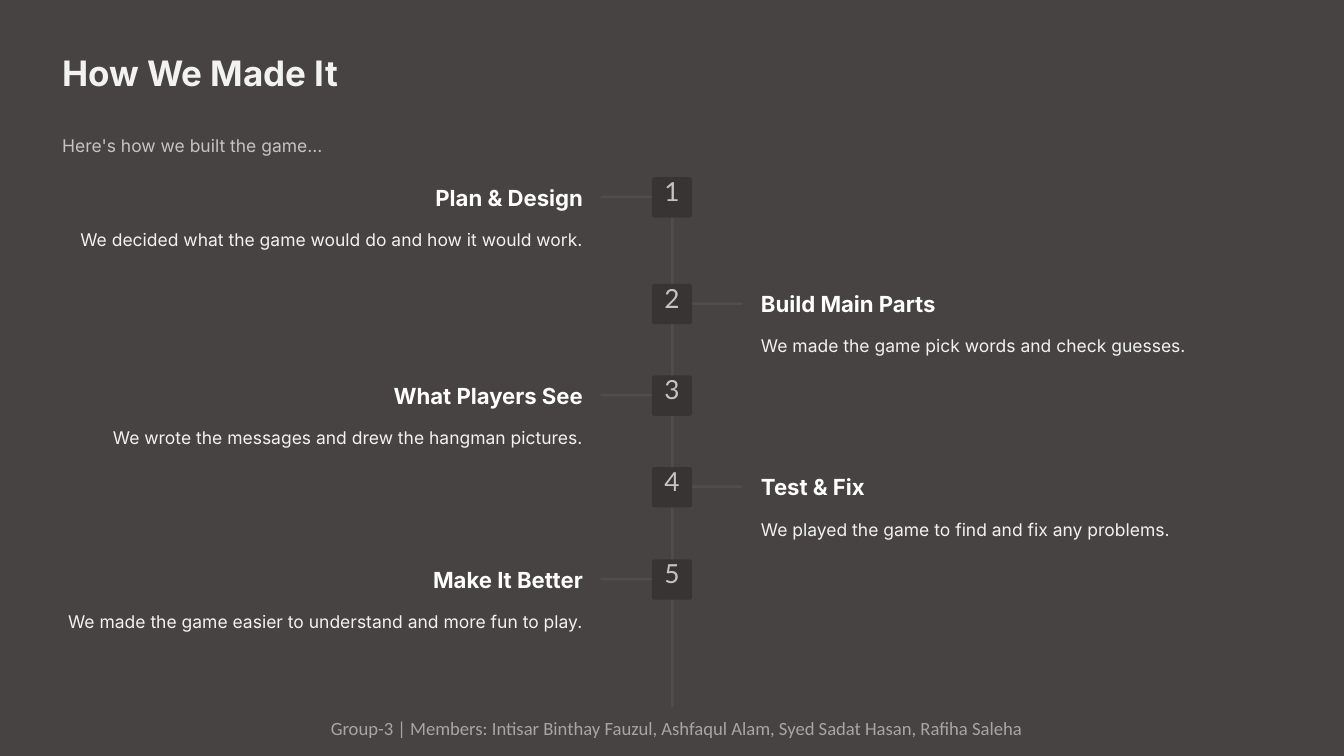
from dataclasses import dataclass

from pptx import Presentation
from pptx.dml.color import RGBColor
from pptx.enum.shapes import MSO_SHAPE
from pptx.enum.text import MSO_AUTO_SIZE, PP_ALIGN
from pptx.util import Inches, Pt

LEFT, CENTER, RIGHT = PP_ALIGN.LEFT, PP_ALIGN.CENTER, PP_ALIGN.RIGHT
ROUNDED = MSO_SHAPE.ROUNDED_RECTANGLE
FIT_SHAPE = MSO_AUTO_SIZE.SHAPE_TO_FIT_TEXT


@dataclass(frozen=True)
class TextStyle:
    """Font, size, colour and line height of one kind of text."""
    font: str
    size: float
    color: str
    line_height: float = 0
    bold: bool = False


class Theme:
    """Colours and text styles of the slide."""
    background = "464342"
    rail = "504D4C"
    badge = "373433"
    title = TextStyle("Inter", 30, "F2F2F2", 38, True)
    intro = TextStyle("Inter", 15, "C9C2C0", 24)
    number = TextStyle("Lato", 22.5, "C9C2C0", 22.5)
    heading = TextStyle("Inter", 19, "FFFFFF", 23.5, True)
    body = TextStyle("Inter", 15, "F2F2F2", 24)
    footer = TextStyle("Calibri", 16, "A6A6A6")


STEPS = [
    (2.11, "Plan & Design", "We decided what the game would do and how it would work."),
    (3.38, "Build Main Parts", "We made the game pick words and check guesses."),
    (4.47, "What Players See", "We wrote the messages and drew the hangman pictures."),
    (5.56, "Test & Fix", "We played the game to find and fix any problems."),
    (6.66, "Make It Better", "We made the game easier to understand and more fun to play."),
]
MARGIN = 0.74
BODY_WIDTH = 6.2
HEADING_WIDTH = 2.64
RIGHT_COLUMN = 9.06
LEFT_COLUMN_END = MARGIN + BODY_WIDTH


class TimelineSlide:
    """Draws timeline elements on one slide in a shared theme."""

    def __init__(self, presentation, theme):
        self.theme = theme
        self.slide = presentation.slides.add_slide(presentation.slide_layouts[6])
        fill = self.slide.background.fill
        fill.solid()
        fill.fore_color.rgb = RGBColor.from_string(theme.background)

    def text(self, words, left, top, width, height, style, align=LEFT):
        """Add a one-line text box without insets."""
        shape = self.slide.shapes.add_textbox(
            Inches(left), Inches(top), Inches(width), Inches(height))
        frame = shape.text_frame
        frame.word_wrap = False
        frame.margin_left = frame.margin_right = 0
        frame.margin_top = frame.margin_bottom = 0
        self.set_paragraph(frame, words, style, align)

    def footer(self, words, left, top, width, height):
        """Add a wrapping footer that grows with its text."""
        shape = self.slide.shapes.add_textbox(
            Inches(left), Inches(top), Inches(width), Inches(height))
        frame = shape.text_frame
        frame.word_wrap = True
        frame.auto_size = FIT_SHAPE
        self.set_paragraph(frame, words, self.theme.footer, LEFT)

    def set_paragraph(self, frame, words, style, align):
        """Fill a text frame with one styled paragraph."""
        paragraph = frame.paragraphs[0]
        paragraph.text = words
        paragraph.alignment = align
        if style.line_height:
            paragraph.line_spacing = Pt(style.line_height)
        font = paragraph.font
        font.name = style.font
        font.size = Pt(style.size)
        font.bold = style.bold
        font.color.rgb = RGBColor.from_string(style.color)

    def bar(self, left, top, width, height, color, rounding=0.5):
        """Add a filled rounded rectangle without outline."""
        shape = self.slide.shapes.add_shape(
            ROUNDED, Inches(left), Inches(top), Inches(width), Inches(height))
        shape.adjustments[0] = rounding
        shape.shadow.inherit = False
        shape.fill.solid()
        shape.fill.fore_color.rgb = RGBColor.from_string(color)
        shape.line.fill.background()

    def step(self, number, top, heading, body):
        """Add a numbered step, odd ones left of the rail and even ones right."""
        theme = self.theme
        on_left = number % 2 == 1
        align = RIGHT if on_left else LEFT
        heading_left = LEFT_COLUMN_END - HEADING_WIDTH if on_left else RIGHT_COLUMN
        body_left = MARGIN if on_left else RIGHT_COLUMN
        self.bar(7.15 if on_left else 8.21, top + 0.22, 0.63, 0.03, theme.rail)
        self.bar(7.76, top, 0.48, 0.48, theme.badge, 0.07)
        self.text(str(number), 7.84, top + 0.04, 0.32, 0.4, theme.number, CENTER)
        self.text(heading, heading_left, top + 0.07, HEADING_WIDTH, 0.33, theme.heading, align)
        self.text(body, body_left, top + 0.53, BODY_WIDTH, 0.34, theme.body, align)


def main():
    """Build and save the slide."""
    presentation = Presentation()
    presentation.slide_width = Inches(16)
    presentation.slide_height = Inches(9)
    theme = Theme()
    timeline = TimelineSlide(presentation, theme)
    timeline.text("How We Made It", MARGIN, 0.58, 4.23, 0.53, theme.title)
    timeline.text("Here's how we built the game...", MARGIN, 1.53, 14.52, 0.34, theme.intro)
    timeline.bar(7.99, 2.11, 0.03, 6.31, theme.rail)
    for number, (top, heading, body) in enumerate(STEPS, start=1):
        timeline.step(number, top, heading, body)
    timeline.footer(
        "Group-3 | Members: Intisar Binthay Fauzul, Ashfaqul Alam, "
        "Syed Sadat Hasan, Rafiha Saleha", 3.84, 8.48, 8.51, 0.37)
    presentation.save("out.pptx")


if __name__ == "__main__":
    main()
